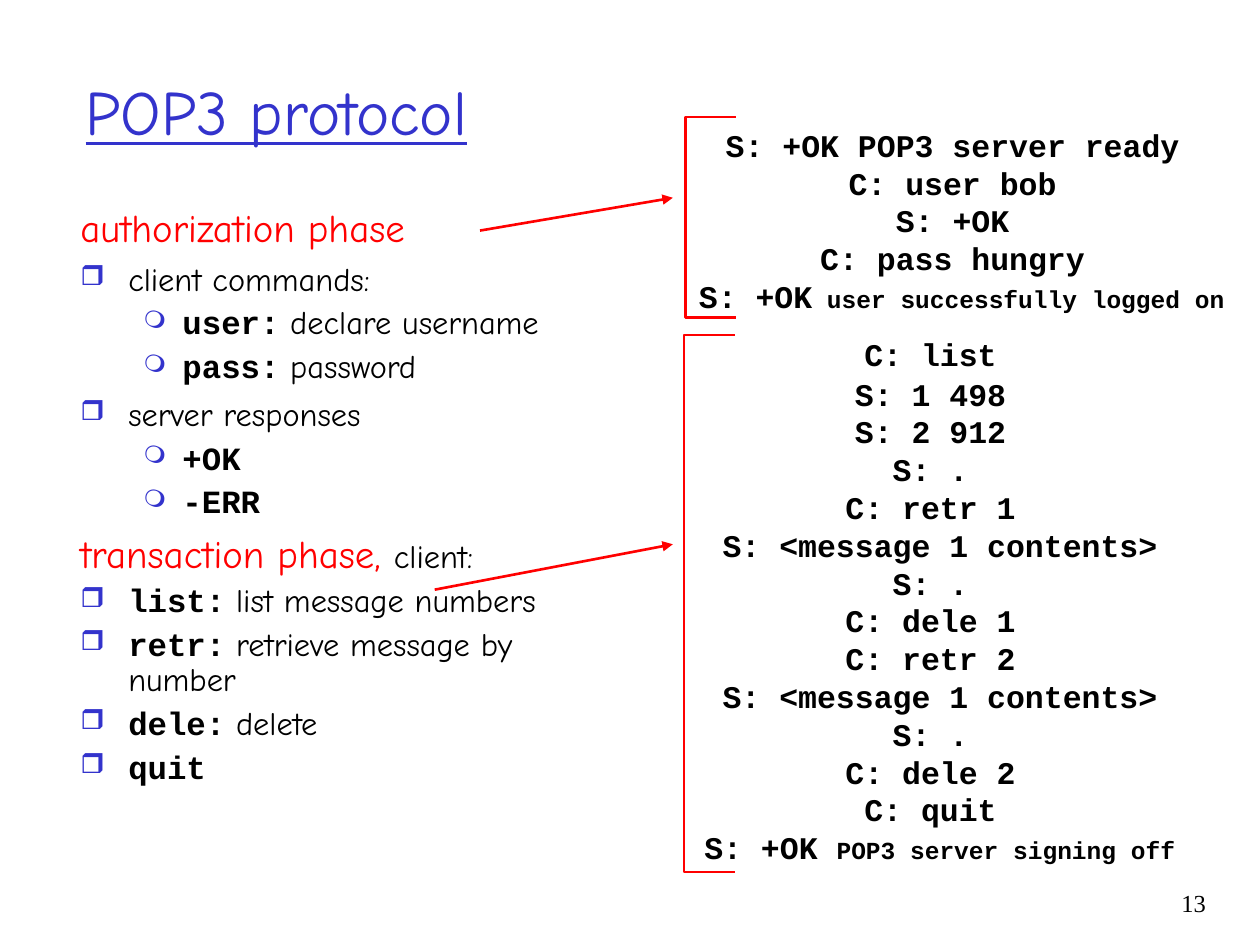
from dataclasses import dataclass

from lxml.etree import SubElement
from pptx import Presentation
from pptx.dml.color import RGBColor
from pptx.enum.shapes import MSO_CONNECTOR
from pptx.enum.text import MSO_ANCHOR, MSO_AUTO_SIZE, PP_ALIGN
from pptx.oxml.ns import qn
from pptx.util import Inches, Pt

COLORS = {"blue": "3333CC", "red": "FF0000", "black": "000000"}
HAND, MONO, SERIF = "Comic Neue", "Courier New", "Times New Roman"
LINE_WIDTH = Pt(1.5)


@dataclass
class Level:
    margin: float
    hanging: float
    bullet: str = ""
    percent: int = 100


@dataclass
class Item:
    level: Level
    command: str = ""
    text: str = ""
    heading: str = ""
    before: float = 5
    spacing: float = 0.9


@dataclass
class Bracket:
    left: float
    top: float
    height: float
    arm: float = 0.4


@dataclass
class Arrow:
    start: tuple[float, float]
    end: tuple[float, float]


@dataclass
class Transcript:
    left: float
    top: float
    width: float
    height: float
    lines: list[str]
    closing: tuple[str, str]
    first_gap: float = 0


HEADING = Level(0.38, 0.38)
MAIN = Level(0.38, 0.38, "❒", 85)
SUB = Level(0.81, 0.31, "❍", 75)

PHASES = [
    Item(HEADING, heading="authorization phase", before=6, spacing=1),
    Item(MAIN, text="client commands:", spacing=1),
    Item(SUB, "user:", " declare username"),
    Item(SUB, "pass:", " password"),
    Item(MAIN, text="server responses", spacing=1),
    Item(SUB, "+OK"),
    Item(SUB, "-ERR"),
    Item(HEADING, heading="transaction phase, ", text="client:", spacing=1),
    Item(MAIN, "list:", " list message numbers"),
    Item(MAIN, "retr:", " retrieve message by number"),
    Item(MAIN, "dele:", " delete"),
    Item(MAIN, "quit"),
]

TRANSCRIPTS = [
    Transcript(5.45, 0.95, 4.37, 1.6,
               ["S: +OK POP3 server ready ", "C: user bob ", "S: +OK ", "C: pass hungry "],
               ("S: +OK", " user successfully logged on")),
    Transcript(5.49, 2.61, 3.94, 4.3,
               ["C: list ", "S: 1 498 ", "S: 2 912 ", "S: . ",
                "C: retr 1 ", "S: <message 1 contents>", "S: . ", "C: dele 1 ",
                "C: retr 2 ", "S: <message 1 contents>", "S: . ", "C: dele 2 ", "C: quit "],
               ("S: +OK ", "POP3 server signing off"), first_gap=1),
]

BRACKETS = [Bracket(5.44, 0.93, 1.59), Bracket(5.43, 2.66, 4.26)]
ARROWS = [Arrow((3.81, 1.83), (5.34, 1.57)), Arrow((3.45, 4.68), (5.34, 4.32))]


def add_span(para, text: str, *, size: float, font: str, color: str = "black",
             bold: bool = False, underline: bool = False) -> None:
    span = para.add_run()
    span.text = text
    span.font.size = Pt(size)
    span.font.name = font
    span.font.bold = bold
    span.font.underline = underline
    span.font.color.rgb = RGBColor.from_string(COLORS[color])


def add_box(page, left: float, top: float, width: float, height: float, wrap: bool = True):
    box = page.shapes.add_textbox(Inches(left), Inches(top), Inches(width), Inches(height))
    box.text_frame.word_wrap = wrap
    return box.text_frame


def next_para(frame, index: int):
    return frame.add_paragraph() if index else frame.paragraphs[0]


def set_level(para, level: Level) -> None:
    properties = para._p.get_or_add_pPr()
    properties.set("marL", str(Inches(level.margin)))
    properties.set("indent", str(-Inches(level.hanging)))
    if level.bullet:
        color = SubElement(properties, qn("a:buClr"))
        SubElement(color, qn("a:srgbClr"), val=COLORS["blue"])
        SubElement(properties, qn("a:buSzPct"), val=str(level.percent * 1000))
        SubElement(properties, qn("a:buChar"), char=level.bullet)


def add_title(page, text: str) -> None:
    title = page.shapes.title
    title.left, title.top = Inches(0.58), Inches(0.25)
    title.width, title.height = Inches(8.5), Inches(1.25)
    frame = title.text_frame
    frame.auto_size = MSO_AUTO_SIZE.NONE
    frame.vertical_anchor = MSO_ANCHOR.MIDDLE
    para = frame.paragraphs[0]
    para.alignment = PP_ALIGN.LEFT
    add_span(para, text, size=36, font=HAND, color="blue", underline=True)


def add_phases(page, items: list[Item]) -> None:
    frame = add_box(page, 0.54, 1.57, 4.34, 5.08)
    for index, item in enumerate(items):
        para = next_para(frame, index)
        para.space_before = Pt(item.before)
        para.line_spacing = item.spacing
        set_level(para, item.level)
        if item.heading:
            add_span(para, item.heading, size=22.2, font=HAND, color="red")
        if item.command:
            add_span(para, item.command, size=18.5, font=MONO, bold=True)
        if item.text:
            add_span(para, item.text, size=18.5, font=HAND)


def add_transcript(page, transcript: Transcript) -> None:
    frame = add_box(page, transcript.left, transcript.top,
                    transcript.width, transcript.height, wrap=False)
    # The longest line needs the full width of the box
    frame.margin_left = frame.margin_right = 0
    reply, detail = transcript.closing
    for index, line in enumerate([*transcript.lines, reply]):
        para = next_para(frame, index)
        para.alignment = PP_ALIGN.CENTER
        para.line_spacing = Pt(21.6)
        add_span(para, line, size=18, font=MONO, bold=True)
    add_span(para, detail, size=14, font=MONO, bold=True)
    frame.paragraphs[0].space_after = Pt(transcript.first_gap)


def format_line(line) -> None:
    line.color.rgb = RGBColor.from_string(COLORS["red"])
    line.width = LINE_WIDTH


def add_bracket(page, bracket: Bracket) -> None:
    left, top = Inches(bracket.left), Inches(bracket.top)
    right, bottom = left + Inches(bracket.arm), top + Inches(bracket.height)
    builder = page.shapes.build_freeform(right, top)
    builder.add_line_segments([(left, top), (left, bottom), (right, bottom)], close=False)
    shape = builder.convert_to_shape()
    shape.shadow.inherit = False
    shape.fill.background()
    format_line(shape.line)


def add_arrow(page, arrow: Arrow) -> None:
    ends = [Inches(value) for value in (*arrow.start, *arrow.end)]
    connector = page.shapes.add_connector(MSO_CONNECTOR.STRAIGHT, *ends)
    format_line(connector.line)
    SubElement(connector.line._get_or_add_ln(), qn("a:tailEnd"), type="triangle")
    SubElement(connector._element.spPr, qn("a:effectLst"))


def main() -> None:
    deck = Presentation()
    deck.slide_width, deck.slide_height = Inches(10), Inches(7.5)
    page = deck.slides.add_slide(deck.slide_layouts[5])

    # Title and page number
    add_title(page, "POP3 protocol")
    number = add_box(page, 8.93, 7, 0.74, 0.5).paragraphs[0]
    number.alignment = PP_ALIGN.RIGHT
    add_span(number, "13", size=14, font=SERIF)

    # Protocol phases and their sample sessions
    add_phases(page, PHASES)
    for transcript in TRANSCRIPTS:
        add_transcript(page, transcript)

    # Brackets with arrows from each phase
    for bracket, arrow in zip(BRACKETS, ARROWS):
        add_bracket(page, bracket)
        add_arrow(page, arrow)

    deck.save("out.pptx")


if __name__ == "__main__":
    main()
